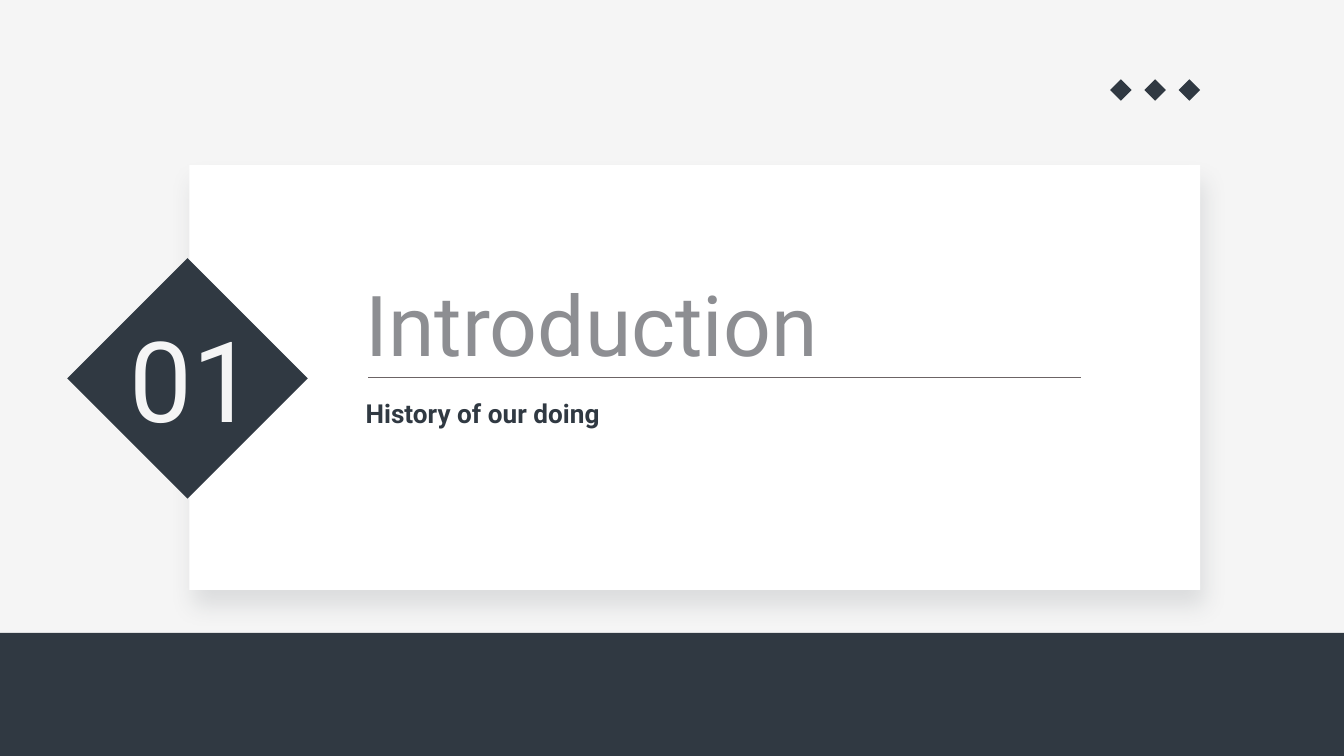
from lxml import etree
from pptx import Presentation
from pptx.dml.color import RGBColor
from pptx.enum.shapes import MSO_CONNECTOR, MSO_SHAPE
from pptx.enum.text import MSO_ANCHOR, MSO_AUTO_SIZE, PP_ALIGN
from pptx.oxml import parse_xml
from pptx.oxml.ns import nsdecls, qn
from pptx.util import Inches, Pt

NAVY = RGBColor(0x30, 0x39, 0x42)
PALE = RGBColor(0xF5, 0xF5, 0xF5)
WHITE = RGBColor(0xFF, 0xFF, 0xFF)
GREY = RGBColor(0x8D, 0x8E, 0x92)
RULE = RGBColor(0x6C, 0x64, 0x65)

prs = Presentation()
prs.slide_width = Inches(10)
prs.slide_height = prs.slide_width * 9 // 16
slide = prs.slides.add_slide(prs.slide_layouts[0])
shapes = slide.shapes
slide.background.fill.solid()
slide.background.fill.fore_color.rgb = PALE


def add_block(preset, left, top, width, height, color):
    block = shapes.add_shape(preset, Inches(left), Inches(top), Inches(width), Inches(height))
    block.shadow.inherit = False
    block.fill.solid()
    block.fill.fore_color.rgb = color
    block.line.fill.background()
    return block


def write(box, position, text, size, color, align=PP_ALIGN.LEFT, anchor=MSO_ANCHOR.TOP, bold=False):
    box.left, box.top, box.width, box.height = map(Inches, position)
    frame = box.text_frame
    frame.text = text
    frame.word_wrap = True
    frame.auto_size = MSO_AUTO_SIZE.NONE
    frame.vertical_anchor = anchor
    frame.margin_left = frame.margin_right = frame.margin_top = frame.margin_bottom = Inches(0.1)
    paragraph = frame.paragraphs[0]
    paragraph.alignment = align
    paragraph.line_spacing = 1.0
    paragraph.space_before = Pt(0)
    font = paragraph.runs[0].font
    font.name, font.size, font.bold = "Roboto", Pt(size), bold
    font.color.rgb = color


# Footer band, bleeding past the edges, and white card with a soft shadow
add_block(MSO_SHAPE.RECTANGLE, -0.06, 4.71, 10.1, 0.95, NAVY)
card = add_block(MSO_SHAPE.RECTANGLE, 1.41, 1.23, 7.52, 3.16, WHITE)
card_effects = card.element.spPr.find(qn("a:effectLst"))
card_effects.append(parse_xml(
    f'<a:outerShdw {nsdecls("a")} blurRad="{Pt(12.4)}" dist="{Pt(9)}" dir="{76 * 60000}" '
    f'algn="bl" rotWithShape="0"><a:srgbClr val="{NAVY}"><a:alpha val="13000"/></a:srgbClr>'
    '</a:outerShdw>'))

# Section title and subtitle, brought in front of the card
title, subtitle = shapes.title, slide.placeholders[1]
write(title, (2.62, 1.93, 4.31, 0.83), "Introduction", 45, GREY)
write(subtitle, (2.62, 2.86, 4.7, 0.83), "History of our doing", 14, NAVY, bold=True)
subtitle.text_frame.paragraphs[0].space_after = Pt(16)
for placeholder in (title, subtitle):
    shapes.element.append(placeholder.element)

# Rule between title and subtitle
rule = shapes.add_connector(MSO_CONNECTOR.STRAIGHT, Inches(2.74), Inches(2.81), Inches(8.04), Inches(2.81))
rule.line.color.rgb = RULE
rule.line.width = Pt(0.75)
etree.SubElement(rule.element.spPr, qn("a:effectLst"))

# Section number on its diamond
add_block(MSO_SHAPE.DIAMOND, 0.5, 1.92, 1.79, 1.79, NAVY)
number = shapes.add_textbox(0, 0, 0, 0)
write(number, (0.8, 2.35, 1.2, 0.92), "01", 60, PALE, PP_ALIGN.RIGHT, MSO_ANCHOR.MIDDLE)

# Three small diamonds, evenly spaced up to the card's right edge
DOT = 0.16
first_left, last_left = 8.26, 1.41 + 7.52 - DOT
for column in range(3):
    left = first_left + column * (last_left - first_left) / 2
    add_block(MSO_SHAPE.DIAMOND, left, 0.59, DOT, DOT, NAVY)

prs.save("out.pptx")
